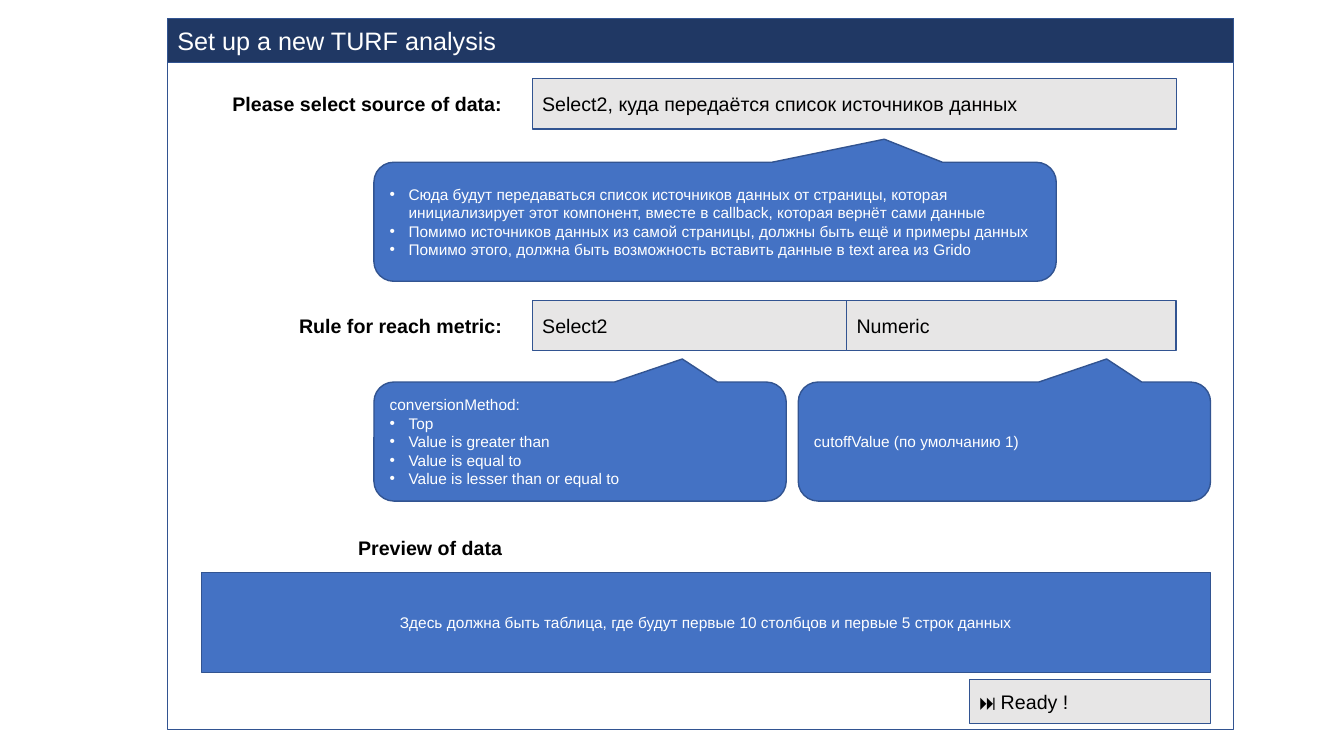
import pptx
import pptx.util
import pptx.dml.color
import pptx.enum.shapes
import pptx.enum.text
import pptx.oxml.ns
import lxml.etree

Pt = pptx.util.Pt
SHAPE = pptx.enum.shapes.MSO_SHAPE
ALIGN = pptx.enum.text.PP_ALIGN

NAVY, BLUE, OUTLINE = "203864", "4472C4", "325491"
GREY, WHITE, BLACK = "E7E6E6", "FFFFFF", "000000"
LEFT, WIDTH = 119.5, 761.8
LABEL_X, LABEL_W = 124.6, 241.2
FIELD_X, ROW_H = 380.2, 36
SOURCE_Y, RULE_Y, PREVIEW_Y = 56.2, 214.6, 373
NOTE_X, NOTE_H, NOTE_W = 267.1, 85, 294.5
RIGHT = 864.7


def rgb(color):
    return pptx.dml.color.RGBColor.from_string(color)


def paint(sp, fill):
    sp.fill.solid()
    sp.fill.fore_color.rgb = rgb(fill)
    sp.line.color.rgb = rgb(OUTLINE)
    sp.line.width = Pt(1)


def place(sp, x, y, w, h):
    sp.left, sp.top, sp.width, sp.height = Pt(x), Pt(y), Pt(w), Pt(h)


def add_bullet(p):
    pPr = p._p.get_or_add_pPr()
    pPr.set("marL", str(Pt(13.5)))
    pPr.set("indent", str(-Pt(13.5)))
    for tag, key, value in (("a:buFont", "typeface", "Arial"), ("a:buChar", "char", "•")):
        lxml.etree.SubElement(pPr, pptx.oxml.ns.qn(tag)).set(key, value)


def write(sp, text, size=14, color=BLACK, bold=False, align=ALIGN.LEFT):
    tf = sp.text_frame
    tf.word_wrap = True
    tf.auto_size = pptx.enum.text.MSO_AUTO_SIZE.NONE
    tf.vertical_anchor = pptx.enum.text.MSO_ANCHOR.MIDDLE
    for i, line in enumerate(text.split("\n")):
        p = tf.paragraphs[0] if i == 0 else tf.add_paragraph()
        p.alignment = align
        if line.startswith("• "):
            add_bullet(p)
        r = p.add_run()
        r.text = line.removeprefix("• ")
        r.font.name = "Arial"
        r.font.size = Pt(size)
        r.font.bold = bold
        r.font.color.rgb = rgb(color)


def add_box(s, x, y, w, h, fill, text="", kind=SHAPE.RECTANGLE, **fmt):
    sp = s.shapes.add_shape(kind, Pt(x), Pt(y), Pt(w), Pt(h))
    sp.shadow.inherit = False
    paint(sp, fill)
    if text:
        write(sp, text, **fmt)
    return sp


def add_title(s, text):
    sp = s.shapes.title
    place(sp, LEFT, 13, WIDTH, 31.6)
    paint(sp, NAVY)
    write(sp, text, size=18, color=WHITE)


def add_label(s, y, text):
    sp = s.shapes.add_textbox(Pt(LABEL_X), Pt(y), Pt(LABEL_W), Pt(ROW_H))
    write(sp, text, bold=True, align=ALIGN.RIGHT)


def add_field(s, x, y, w, text, h=ROW_H):
    add_box(s, x, y, w, h, GREY, text)


def add_note(s, x, y, w, text):
    sp = add_box(s, x, y, w, NOTE_H, BLUE, text,
                 kind=SHAPE.ROUNDED_RECTANGULAR_CALLOUT, size=11, color=WHITE)
    for i, value in enumerate((0.248, -0.694, 0.167)):
        sp.adjustments[i] = value


def main():
    prs = pptx.Presentation()
    prs.slide_width, prs.slide_height = Pt(960), Pt(540)
    s = prs.slides.add_slide(prs.slide_layouts[5])
    add_title(s, "Set up a new TURF analysis")
    add_box(s, LEFT, 44.6, WIDTH, 476.6, WHITE)

    add_label(s, SOURCE_Y, "Please select source of data:")
    add_field(s, FIELD_X, SOURCE_Y, 460, "Select2, куда передаётся список источников данных")
    add_note(s, NOTE_X, 115.9, 487.4,
             "• Сюда будут передаваться список источников данных от страницы, которая "
             "инициализирует этот компонент, вместе в callback, которая вернёт сами данные\n"
             "• Помимо источников данных из самой страницы, должны быть ещё и примеры данных\n"
             "• Помимо этого, должна быть возможность вставить данные в text area из Grido")

    add_label(s, RULE_Y, "Rule for reach metric:")
    add_field(s, FIELD_X, RULE_Y, 224.6, "Select2")
    add_field(s, FIELD_X + 224.6, RULE_Y, 235.4, "Numeric")
    add_note(s, NOTE_X, 272.9, NOTE_W,
             "conversionMethod:\n• Top\n• Value is greater than\n"
             "• Value is equal to\n• Value is lesser than or equal to")
    add_note(s, RIGHT - NOTE_W, 272.9, NOTE_W, "cutoffValue (по умолчанию 1)")

    add_label(s, PREVIEW_Y, "Preview of data")
    add_box(s, 144, PREVIEW_Y + ROW_H, RIGHT - 144, 71.3, BLUE,
            "Здесь должна быть таблица, где будут первые 10 столбцов и первые 5 строк данных",
            size=11, color=WHITE, align=ALIGN.CENTER)
    add_field(s, RIGHT - 172.1, 485.3, 172.1, "⏭ Ready !", h=31.6)
    prs.save("out.pptx")


main()
